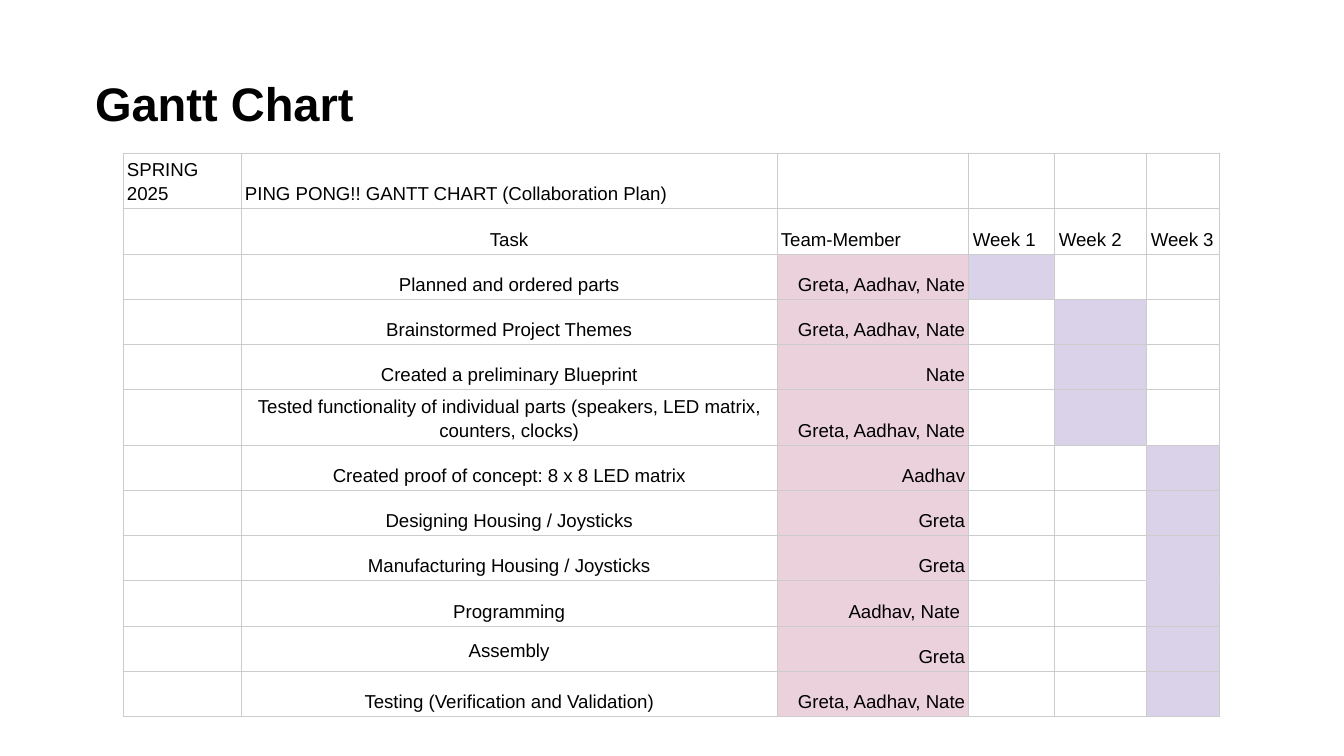
"""Build the Gantt chart slide."""
from lxml import etree
from pptx import Presentation
from pptx import util as u
from pptx.dml.color import RGBColor
from pptx.enum import text
from pptx.oxml.ns import qn

GRID, PINK, LILAC = "CCCCCC", "EAD1DC", "D9D2E9"
LEFT, MID, RIGHT = text.PP_ALIGN.LEFT, text.PP_ALIGN.CENTER, text.PP_ALIGN.RIGHT
LOW, HALF = text.MSO_ANCHOR.BOTTOM, text.MSO_ANCHOR.MIDDLE
ALL = "Greta, Aadhav, Nate"
TASKS = [
    ("Planned and ordered parts", ALL, 1),
    ("Brainstormed Project Themes", ALL, 2),
    ("Created a preliminary Blueprint", "Nate", 2),
    ("Tested functionality of individual parts (speakers, LED matrix, counters, clocks)", ALL, 2),
    ("Created proof of concept: 8 x 8 LED matrix", "Aadhav", 3),
    ("Designing Housing / Joysticks", "Greta", 3),
    ("Manufacturing Housing / Joysticks", "Greta", 3),
    ("Programming", "Aadhav, Nate ", 3),
    ("Assembly", "Greta", 3),
    ("Testing (Verification and Validation)", ALL, 3),
]
HEADS = [
    ["SPRING 2025", "PING PONG!! GANTT CHART (Collaboration Plan)", "", "", "", ""],
    ["", "Task", "Team-Member", "Week 1", "Week 2", "Week 3"],
]
COLS = [118, 536, 192, 86, 92, 73]
ROWS = [55, 46, 45, 45, 45, 55, 45, 45, 45, 46, 45, 45]


def px(n):
    return u.Emu(round(n * 914400 / 134.4))


def tint(code):
    return RGBColor.from_string(code)


class Deck:
    """Hold the style and the current slide."""

    def __init__(self):
        self.font, self.ink = "Arial", "000000"
        self.prs = Presentation()
        self.prs.slide_width, self.prs.slide_height = px(1344), px(756)
        self.slide = self.prs.slides.add_slide(self.prs.slide_layouts[5])

    def style(self, para, size, bold=False):
        font = para.font
        font.name, font.size, font.bold = self.font, u.Pt(size), bold
        font.color.rgb = tint(self.ink)

    def title(self, words, x, y, w, h):
        box = self.slide.shapes.title
        box.left, box.top, box.width, box.height = map(px, (x, y, w, h))
        frame = box.text_frame
        frame.text = words
        frame.vertical_anchor = LOW
        frame.margin_left = frame.margin_right = px(13)
        frame.margin_top = frame.margin_bottom = px(13)
        para = frame.paragraphs[0]
        para.alignment = LEFT
        self.style(para, 25.2, True)

    def table(self, x, y, cols, rows):
        frame = self.slide.shapes.add_table(
            len(rows), len(cols), px(x), px(y), px(sum(cols)), px(sum(rows)))
        grid = frame.table
        grid.first_row = grid.horz_banding = False
        for col, w in zip(grid.columns, cols):
            col.width = px(w)
        for row, h in zip(grid.rows, rows):
            row.height = px(h)
        return grid

    def edge(self, cell, side, color):
        line = etree.SubElement(cell._tc.get_or_add_tcPr(), qn("a:ln" + side), w=str(u.Pt(0.6)))
        fill = etree.SubElement(line, qn("a:solidFill"))
        etree.SubElement(fill, qn("a:srgbClr"), val=color)

    def cell(self, cell, words, align=LEFT, fill=None, anchor=LOW, edges=None):
        for side in "LRTB":
            self.edge(cell, side, (edges or {}).get(side, GRID))
        if fill:
            cell.fill.solid()
            cell.fill.fore_color.rgb = tint(fill)
        else:
            cell.fill.background()
        pad = px(4 if words else 0)
        cell.margin_left = cell.margin_right = pad
        cell.margin_top = cell.margin_bottom = pad
        cell.vertical_anchor = anchor
        if words:
            cell.text = words
        para = cell.text_frame.paragraphs[0]
        if words:
            para.alignment, para.line_spacing = align, 1.15
        self.style(para, 10)


def main():
    deck = Deck()
    deck.title("Gantt Chart", 82, 59, 1180, 85)
    grid = deck.table(123, 153, COLS, ROWS)
    for r, row in enumerate(HEADS):
        for c, words in enumerate(row):
            align = MID if words == "Task" else LEFT
            deck.cell(grid.cell(r, c), words, align)
    joins = {"Manufacturing Housing / Joysticks": "B", "Programming": "T"}
    for r, (task, team, week) in enumerate(TASKS, len(HEADS)):
        deck.cell(grid.cell(r, 0), "")
        deck.cell(grid.cell(r, 1), task, MID, anchor=HALF if task == "Assembly" else LOW)
        deck.cell(grid.cell(r, 2), team, RIGHT, PINK)
        for n in (1, 2, 3):
            busy = n == week
            edges = {joins[task]: LILAC} if busy and task in joins else None
            deck.cell(grid.cell(r, n + 2), "", fill=LILAC if busy else None, edges=edges)
    deck.prs.save("out.pptx")


if __name__ == "__main__":
    main()
